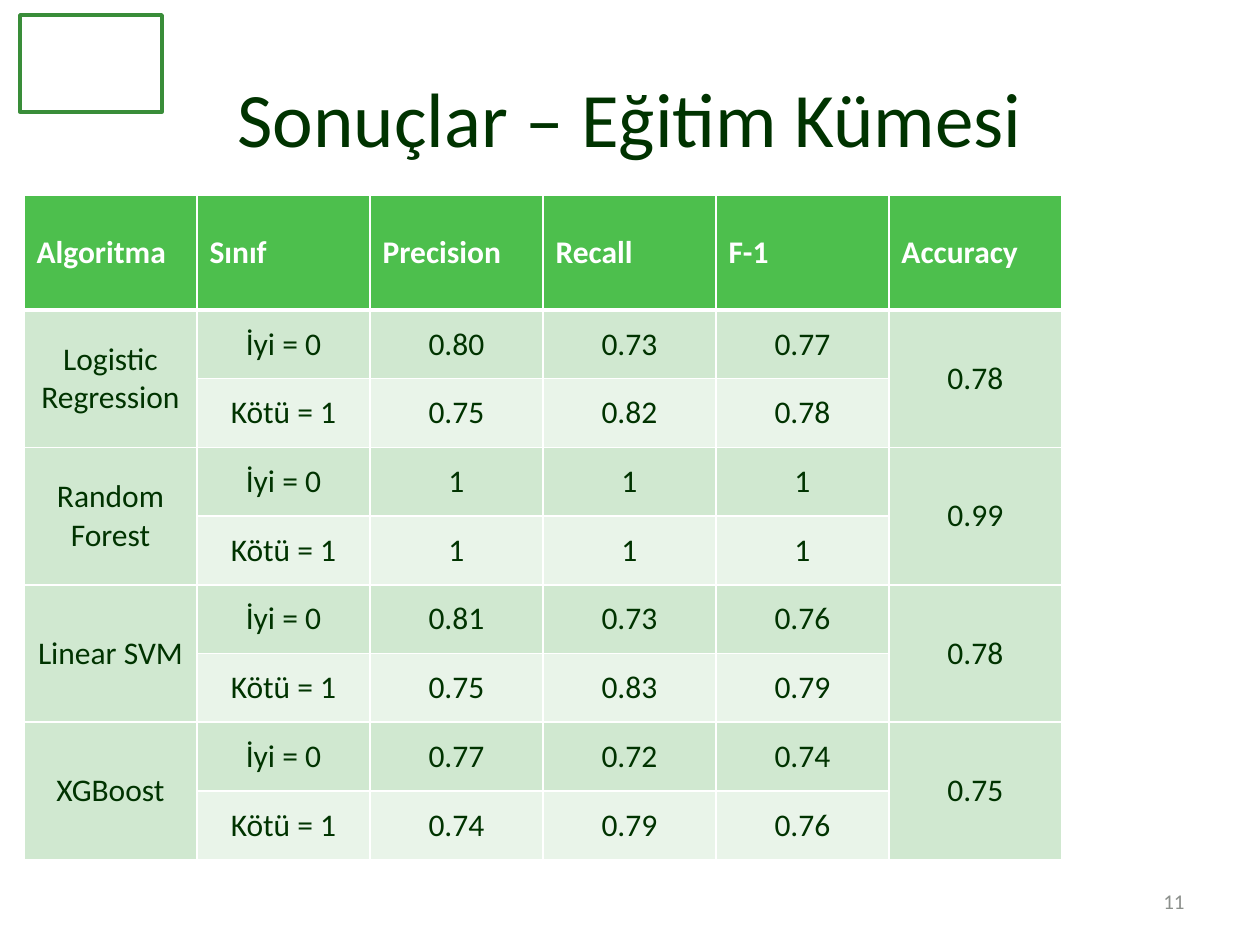
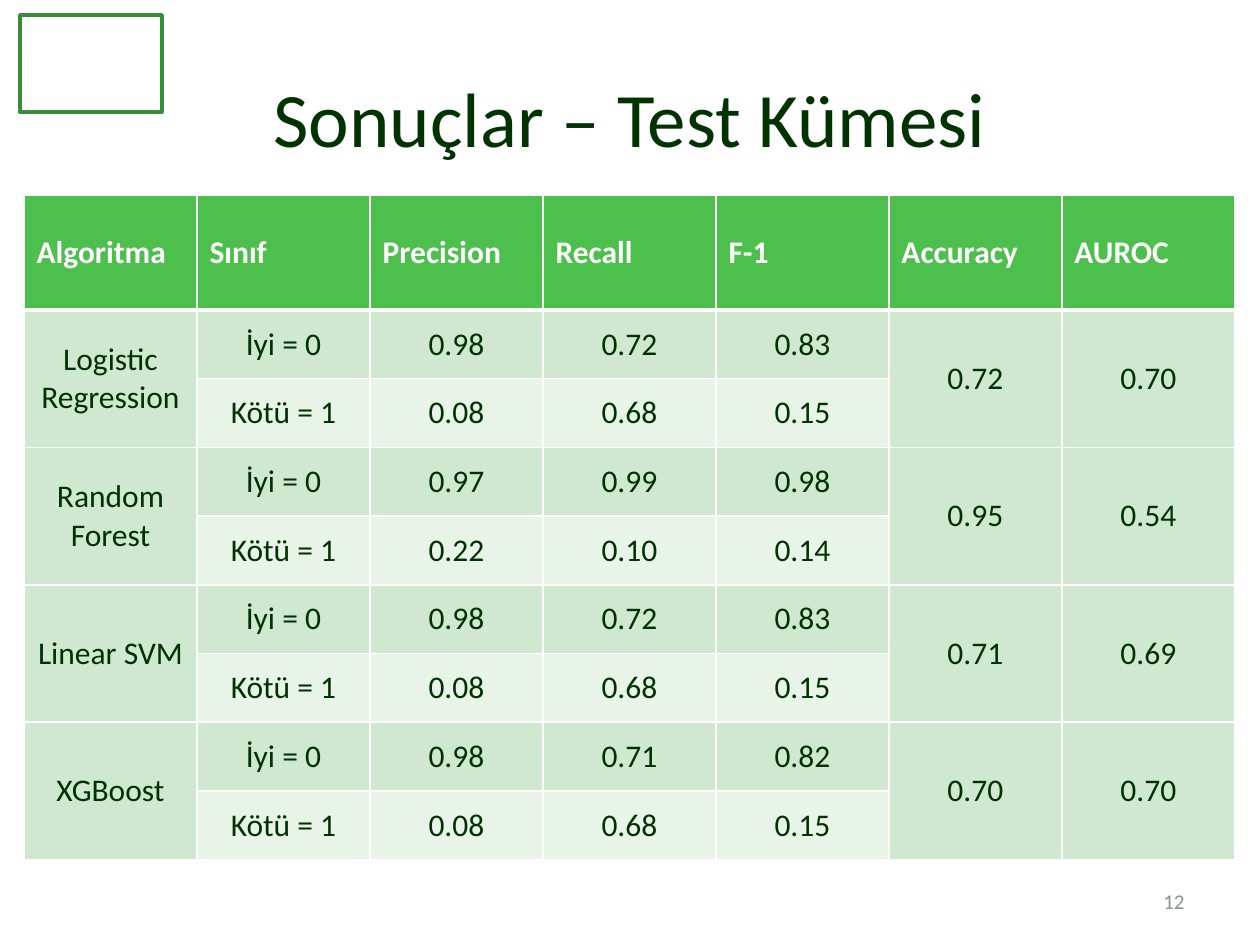
import pptx
import pptx.util
import pptx.dml.color
import pptx.enum.shapes
import pptx.enum.text
import pptx.oxml
import pptx.oxml.ns

SCALE = 914400 / 126
FONT = "Calibri"
COLORS = {
    "text": "003300",
    "white": "FFFFFF",
    "header": "4DBF4D",
    "band": "D0E8D0",
    "light": "E9F4E9",
    "number": "8C908C",
    "frame": "398D39",
}
ALIGN = pptx.enum.text.PP_ALIGN
MIDDLE = pptx.enum.text.MSO_ANCHOR.MIDDLE
ALGORITHMS = ["Logistic Regression", "Random Forest", "Linear SVM", "XGBoost"]
CLASSES = ["İyi = 0", "Kötü = 1"]
HEADERS = ["Algoritma", "Sınıf", "Precision", "Recall", "F-1", "Accuracy"]
TRAIN_SCORES = [
    ["0.80 0.73 0.77", "0.75 0.82 0.78", "0.78"],
    ["1 1 1", "1 1 1", "0.99"],
    ["0.81 0.73 0.76", "0.75 0.83 0.79", "0.78"],
    ["0.77 0.72 0.74", "0.74 0.79 0.76", "0.75"],
]
TEST_SCORES = [
    ["0.98 0.72 0.83", "0.08 0.68 0.15", "0.72 0.70"],
    ["0.97 0.99 0.98", "0.22 0.10 0.14", "0.95 0.54"],
    ["0.98 0.72 0.83", "0.08 0.68 0.15", "0.71 0.69"],
    ["0.98 0.71 0.82", "0.08 0.68 0.15", "0.70 0.70"],
]


def px(n):
    return pptx.util.Emu(round(n * SCALE))


def rgb(name):
    return pptx.dml.color.RGBColor.from_string(COLORS[name])


class Deck:
    def __init__(self):
        self.prs = pptx.Presentation()
        self.prs.slide_width, self.prs.slide_height = px(1260), px(945)
        self.s = None

    def slide(self):
        self.s = self.prs.slides.add_slide(self.prs.slide_layouts[6])

    def style(self, tf, size, color, align, bold=False):
        p = tf.paragraphs[0]
        p.alignment = align
        for r in p.runs:
            r.font.name = FONT
            r.font.size = pptx.util.Pt(size)
            r.font.bold = bold
            r.font.color.rgb = rgb(color)

    def text(self, box, text, size, color, align):
        sp = self.s.shapes.add_textbox(*map(px, box))
        tf = sp.text_frame
        tf.text = text
        tf.word_wrap = True
        tf.vertical_anchor = MIDDLE
        self.style(tf, size, color, align)

    def frame(self, box):
        sp = self.s.shapes.add_shape(
            pptx.enum.shapes.MSO_SHAPE.RECTANGLE, *map(px, box))
        sp.shadow.inherit = False
        sp.fill.background()
        sp.line.color.rgb = rgb("frame")
        sp.line.width = pptx.util.Pt(2)

    def borders(self, cell, top, bottom):
        tc_pr = cell._tc.get_or_add_tcPr()
        for side, width in zip("LRTB", (1, 1, top, bottom)):
            tc_pr.append(pptx.oxml.parse_xml(
                f'<a:ln{side} {pptx.oxml.ns.nsdecls("a")} w="{pptx.util.Pt(width)}">'
                f'<a:solidFill><a:srgbClr val="{COLORS["white"]}"/></a:solidFill>'
                f'</a:ln{side}>'))

    def cell(self, cell, row, text, fill):
        header = row == 0
        cell.text = text
        cell.vertical_anchor = MIDDLE
        self.borders(cell, 3 if row == 1 else 1, 3 if header else 1)
        cell.fill.solid()
        cell.fill.fore_color.rgb = rgb(fill)
        self.style(cell.text_frame, 18, "white" if header else "text",
                   ALIGN.LEFT if header else ALIGN.CENTER, header)

    def table(self, left, top, col_width, height, header_height, rows, merged):
        n_rows, n_cols = len(rows), len(rows[0])
        table = self.s.shapes.add_table(
            n_rows, n_cols, px(left), px(top),
            px(col_width * n_cols), px(height)).table
        for col in table.columns:
            col.width = px(col_width)
        for row in table.rows:
            row.height = px(height - header_height) // (n_rows - 1)
        table.rows[0].height = px(header_height)
        for i, row in enumerate(rows):
            for j, text in enumerate(row):
                fill = "band" if i % 2 or j in merged else "light"
                self.cell(table.cell(i, j), i, text, fill if i else "header")
        for i in range(1, n_rows, 2):
            for j in merged:
                table.cell(i, j).merge(table.cell(i + 1, j))


def score_rows(headers, scores):
    rows = [headers]
    for algorithm, (good, bad, overall) in zip(ALGORITHMS, scores):
        totals = overall.split()
        rows.append([algorithm, CLASSES[0], *good.split(), *totals])
        rows.append(["", CLASSES[1], *bad.split(), *[""] * len(totals)])
    return rows


def results_slide(deck, title, number, headers, scores):
    deck.slide()
    deck.text((63, 38, 1134, 157), title, 44, "text", ALIGN.CENTER)
    deck.table(24, 195, 173, 665, 115, score_rows(headers, scores),
               [0, *range(5, len(headers))])
    deck.text((903, 876, 294, 50), number, 12, "number", ALIGN.RIGHT)
    deck.frame((20, 15, 142, 97))


def main():
    deck = Deck()
    results_slide(deck, "Sonuçlar – Eğitim Kümesi", "11", HEADERS, TRAIN_SCORES)
    results_slide(deck, "Sonuçlar – Test Kümesi", "12", HEADERS + ["AUROC"], TEST_SCORES)
    deck.prs.save("out.pptx")


if __name__ == "__main__":
    main()
